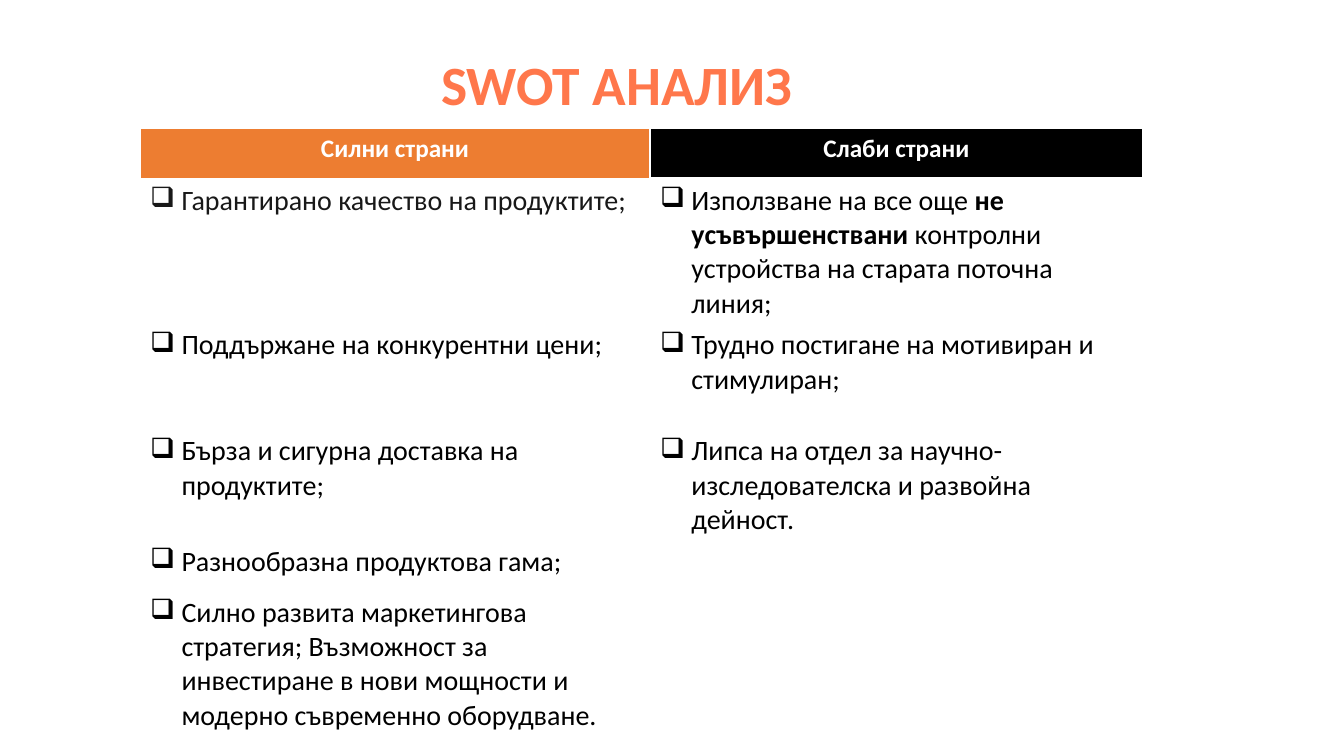
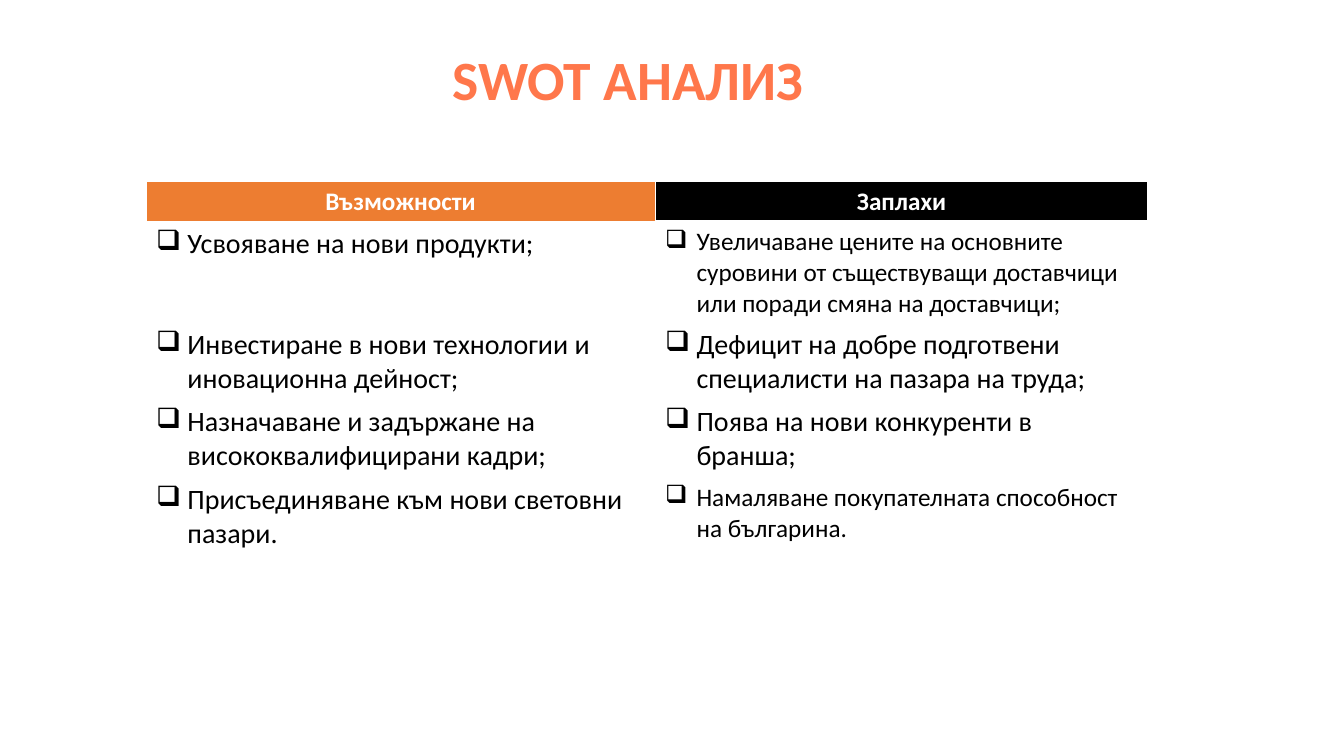
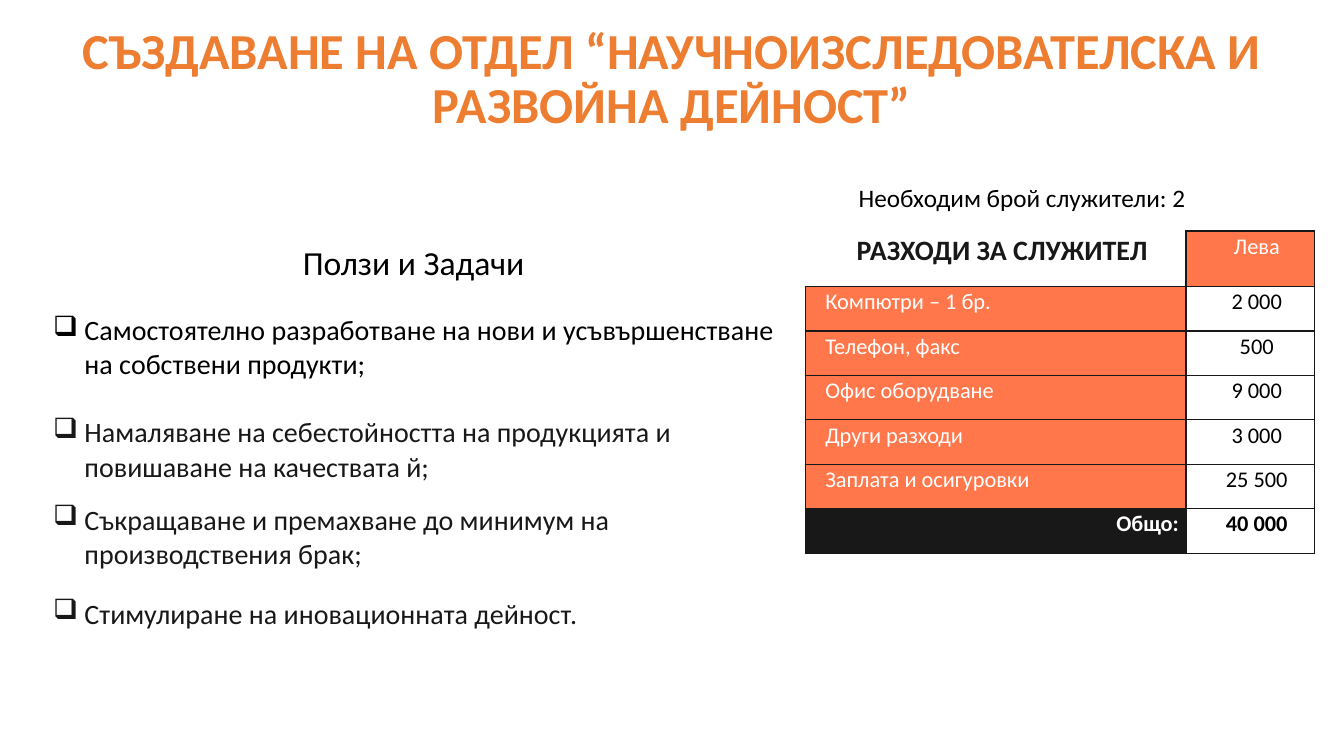
from lxml import etree
from pptx import Presentation
from pptx.dml.color import RGBColor
from pptx.enum.text import MSO_ANCHOR, PP_ALIGN
from pptx.oxml.ns import qn
from pptx.util import Cm, Pt

LEFT, CENTER, RIGHT = PP_ALIGN.LEFT, PP_ALIGN.CENTER, PP_ALIGN.RIGHT
TOP, MIDDLE = MSO_ANCHOR.TOP, MSO_ANCHOR.MIDDLE

FONT = "Calibri"
ORANGE, CORAL = "ED7D31", "FF774B"
BLACK, INK, WHITE = "000000", "181818", "FFFFFF"
BULLET_INDENT = 0.79


def color(value):
    return RGBColor.from_string(value)


class Deck:
    """Holds the shared style and the current slide."""

    def __init__(self):
        self.presentation = Presentation()
        self.presentation.slide_width = Cm(33.87)
        self.presentation.slide_height = Cm(19.05)
        self.slide = None

    def new_slide(self):
        self.slide = self.presentation.slides.add_slide(self.presentation.slide_layouts[6])

    def fill_paragraph(self, paragraph, text, size=20, fill=BLACK, bold=False,
                       bullet=False, indent=0, **spacing):
        """Fill a paragraph; text is a string or a list of (text, bold) runs."""
        properties = paragraph._p.get_or_add_pPr()
        if bullet:
            properties.set("marL", str(Cm(BULLET_INDENT)))
            properties.set("indent", str(-Cm(BULLET_INDENT)))
            etree.SubElement(properties, qn("a:buChar")).set("char", "❑")
        elif indent:
            properties.set("marL", str(Cm(indent)))
        for name, value in spacing.items():
            setattr(paragraph, name, value)
        runs = [(text, bold)] if isinstance(text, str) else text
        for words, weight in runs:
            run = paragraph.add_run()
            run.text = words
            font_format = {"name": FONT, "size": Pt(size), "bold": weight}
            for name, value in font_format.items():
                setattr(run.font, name, value)
            run.font.color.rgb = color(fill)

    def text(self, left, top, width, height, paragraphs, anchor=TOP, wrap=True):
        box = self.slide.shapes.add_textbox(Cm(left), Cm(top), Cm(width), Cm(height))
        frame = box.text_frame
        frame.word_wrap = wrap
        frame.vertical_anchor = anchor
        for index, (words, style) in enumerate(paragraphs):
            paragraph = frame.add_paragraph() if index else frame.paragraphs[0]
            self.fill_paragraph(paragraph, words, **style)

    def swot_title(self, left, top):
        style = {"size": 39.6, "fill": CORAL, "bold": True, "indent": 8.53, "line_spacing": 1.07}
        self.text(left, top, 29.21, 3.68, [("SWOT АНАЛИЗ", style)])

    def table(self, left, top, widths, heights):
        frame = self.slide.shapes.add_table(
            len(heights), len(widths), Cm(left), Cm(top), Cm(sum(widths)), Cm(sum(heights)))
        table = frame.table
        table.first_row = table.horz_banding = False
        for column, width in zip(table.columns, widths):
            column.width = Cm(width)
        for row, height in zip(table.rows, heights):
            row.height = Cm(height)
        return table

    def cell(self, cell, words, background=WHITE, borders=None, margins=None, **style):
        """Borders map a side (L, R, T, B) to (colour, points), in that order."""
        properties = cell._tc.get_or_add_tcPr()
        for side, (line_color, points) in (borders or {}).items():
            line = etree.SubElement(properties, qn(f"a:ln{side}"), w=str(Pt(points)))
            solid = etree.SubElement(line, qn("a:solidFill"))
            etree.SubElement(solid, qn("a:srgbClr"), val=line_color)
        cell.fill.solid()
        cell.fill.fore_color.rgb = color(background)
        for name, value in (margins or {}).items():
            setattr(cell, name, Cm(value))
        if words:
            self.fill_paragraph(cell.text_frame.paragraphs[0], words, **style)

    def swot_table(self, left, top, widths, heights, headers, rows):
        """Each body cell is a text, or a (text, style) pair."""
        table = self.table(left, top, widths, heights)
        thin = dict.fromkeys("LRT", (WHITE, 1))
        looks = [(ORANGE, thin), (BLACK, {**thin, "B": (WHITE, 3)})]
        for column, (words, (background, borders)) in enumerate(zip(headers, looks)):
            self.cell(table.cell(0, column), words, background, borders,
                      size=18, fill=WHITE, bold=True, alignment=CENTER)
        for row, entries in enumerate(rows, 1):
            for column, entry in enumerate(entries):
                words, style = entry if isinstance(entry, tuple) else (entry, {})
                self.cell(table.cell(row, column), words, bullet=bool(words), **style)

    def cost_table(self, left, top, widths, heights, rows):
        """Each row holds (text, background, style) for its two cells."""
        table = self.table(left, top, widths, heights)
        margins = {"margin_left": 0.51, "margin_right": 0.18, "margin_top": 0, "margin_bottom": 0}
        for row, entries in enumerate(rows):
            for column, (words, background, style) in enumerate(entries):
                sides = "RB" if row == column == 0 else "LRTB"
                self.cell(table.cell(row, column), words, background,
                          dict.fromkeys(sides, (INK, 1)), margins,
                          **{"size": 16, "line_spacing": 1.07, "alignment": CENTER, **style})


def main():
    deck = Deck()

    # Strengths and weaknesses
    deck.new_slide()
    deck.swot_title(2.34, 1.02)
    weak_controls = [("Използване на все още ", False), ("не усъвършенствани ", True),
                     ("контролни устройства на старата поточна линия;", False)]
    deck.swot_table(
        3.53, 3.23, [12.85, 12.42], [1.27, 2.67, 2.67, 1.88, 1.27, 3.99],
        ["Силни страни", "Слаби страни"],
        [[("Гарантирано качество на продуктите;", {"fill": INK}), (weak_controls, {})],
         ["Поддържане на конкурентни цени;", "Трудно постигане на мотивиран и стимулиран;"],
         ["Бърза и сигурна доставка на продуктите;",
          "Липса на отдел за научно-изследователска и развойна дейност."],
         ["Разнообразна продуктова гама;", ""],
         ["Силно развита маркетингова стратегия; Възможност за инвестиране в нови "
          "мощности и модерно съвременно оборудване.", ""]])

    # Opportunities and threats
    deck.new_slide()
    small = {"size": 18}
    deck.swot_table(
        3.68, 4.57, [12.83, 12.42], [0.86, 2.16] + [1.5] * 3,
        ["Възможности", "Заплахи"],
        [["Усвояване на нови продукти;",
          ("Увеличаване цените на основните суровини от съществуващи доставчици "
           "или поради смяна на доставчици;", small)],
         ["Инвестиране в нови технологии и иновационна дейност;",
          "Дефицит на добре подготвени специалисти на пазара на труда;"],
         ["Назначаване и задържане на висококвалифицирани кадри;",
          "Поява на нови конкуренти в бранша;"],
         ["Присъединяване към нови световни пазари.",
          ("Намаляване покупателната способност на българина.", small)]])
    deck.swot_title(2.62, 0.89)

    # New department: costs
    deck.new_slide()
    deck.text(0, 0.18, 33.87, 3.68, [
        ("СЪЗДАВАНЕ НА ОТДЕЛ “НАУЧНОИЗСЛЕДОВАТЕЛСКА И РАЗВОЙНА ДЕЙНОСТ”",
         {"size": 36, "fill": ORANGE, "bold": True, "alignment": CENTER, "line_spacing": 0.9}),
    ], anchor=MIDDLE)
    costs = [("Компютри – 1 бр.", "2 000"), ("Телефон, факс", "500"),
             ("Офис оборудване", "9 000"), ("Други разходи", "3 000"),
             ("Заплата и осигуровки", "25 500")]
    header = [("РАЗХОДИ ЗА СЛУЖИТЕЛ", WHITE, {"size": 20, "fill": INK, "bold": True}),
              ("Лева", CORAL, {"fill": WHITE})]
    body = [[(item, CORAL, {"fill": WHITE, "alignment": LEFT}), (amount, WHITE, {})]
            for item, amount in costs]
    total = [("Общо:", INK, {"fill": WHITE, "bold": True, "alignment": RIGHT}),
             ("40 000", WHITE, {"bold": True})]
    deck.cost_table(20.29, 5.82, [9.6, 3.23], [1.4] + [1.12] * 6, [header, *body, total])

    # New department: benefits and staff
    task = {"bullet": True, "fill": INK, "line_spacing": 1.03}
    deck.text(1.09, 5.97, 18.67, 12.09, [
        ("Ползи и Задачи", {"size": 24, "alignment": CENTER}),
        ("Самостоятелно разработване на нови и усъвършенстване на собствени продукти;",
         {"bullet": True, "space_before": Pt(22), "space_after": Pt(24)}),
        ("Намаляване на себестойността на продукцията и повишаване на качествата й;",
         {**task, "space_after": Pt(13.1)}),
        ("Съкращаване и премахване до минимум на производствения брак;",
         {**task, "space_after": Pt(17.5)}),
        ("Стимулиране на иновационната дейност.", task),
    ])
    deck.text(21.39, 4.47, 8.84, 1.02,
              [("Необходим брой служители: 2", {"size": 18})], wrap=False)

    deck.presentation.save("out.pptx")


if __name__ == "__main__":
    main()
